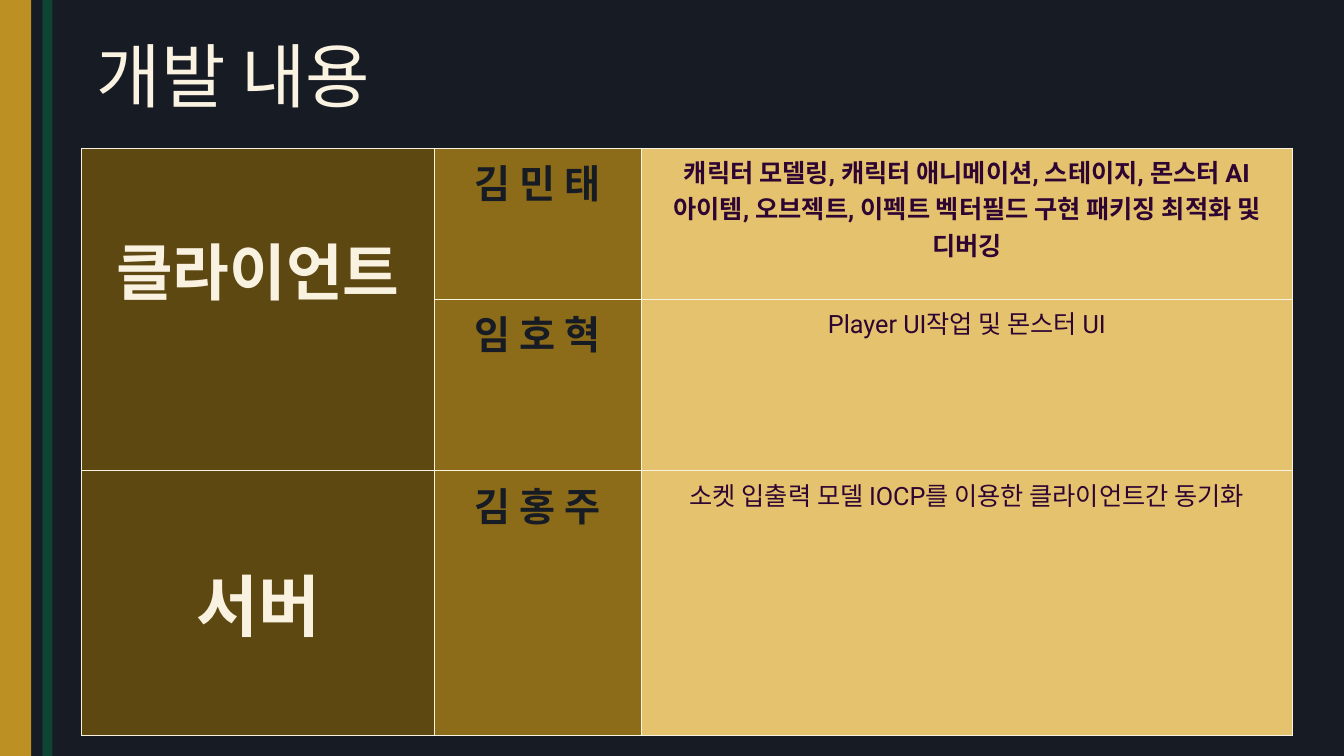
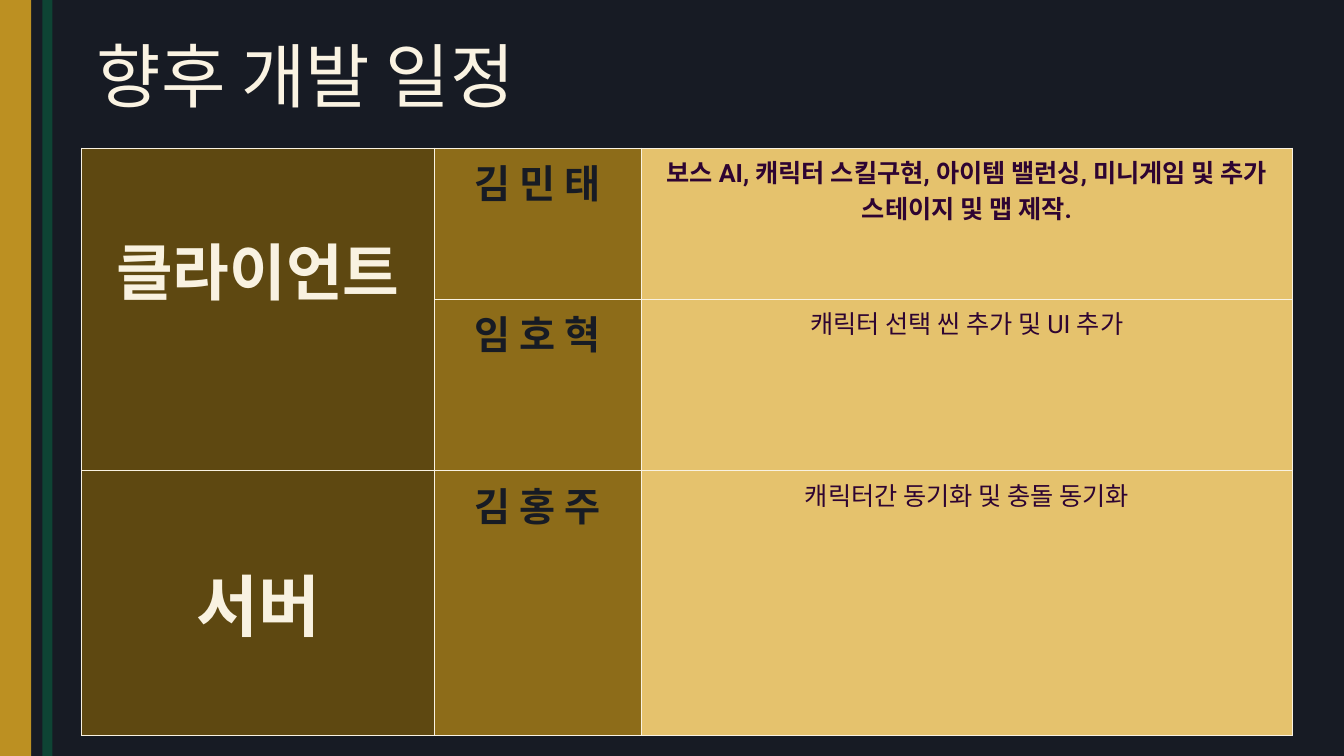
from lxml import etree
from pptx import Presentation
from pptx.dml.color import RGBColor
from pptx.enum.shapes import MSO_SHAPE
from pptx.enum.text import MSO_ANCHOR, PP_ALIGN
from pptx.oxml.ns import qn
from pptx.util import Inches, Pt

RECT = MSO_SHAPE.RECTANGLE
MIDDLE = MSO_ANCHOR.MIDDLE
LEFT, CENTER = PP_ALIGN.LEFT, PP_ALIGN.CENTER

WIDE, HIGH = 13.33, 7.5
NIGHT, GOLD, GREEN = "171B24", "BC9022", "0E4434"
CREAM, IVORY, PLUM = "FAF3E2", "F9F2E1", "2E0432"
BROWN, OCHRE, SAND = "5E4811", "8D6C19", "E5C26D"

COLS = [3.5, 2.05, 6.46]
ROWS = [1.5, 1.7, 2.63]
TEAMS = {0: ("클라이언트", 44, 0.75), 2: ("서버", 48, 0.82)}  # row: name, size, top inset
NAMES = ["김 민 태", "임 호 혁", "김 홍 주"]
PAGES = [
    ("개발 내용", [
        "캐릭터 모델링, 캐릭터 애니메이션, 스테이지, 몬스터 AI 아이템, 오브젝트, "
        "이펙트 벡터필드 구현 패키징 최적화 및 디버깅",
        "Player UI작업 및 몬스터 UI",
        "소켓 입출력 모델 IOCP를 이용한 클라이언트간 동기화",
    ]),
    ("향후 개발 일정", [
        "보스 AI, 캐릭터 스킬구현, 아이템 밸런싱, 미니게임 및 추가 스테이지 및 맵 제작.",
        "캐릭터 선택 씬 추가 및 UI 추가",
        "캐릭터간 동기화 및 충돌 동기화",
    ]),
]


def paint(item, color):
    """Give a fill or a font one solid colour."""
    if hasattr(item, "solid"):
        item.solid()
        item = item.fore_color
    else:
        item = item.color
    item.rgb = RGBColor.from_string(color)


def write(frame, text, font, size, color, bold, align):
    para = frame.paragraphs[0]
    para.alignment = align
    run = para.add_run()
    run.text = text
    run.font.name = font
    run.font.size = Pt(size)
    run.font.bold = bold
    paint(run.font, color)


deck = Presentation()
deck.slide_width, deck.slide_height = Inches(WIDE), Inches(HIGH)
master = deck.slide_master
paint(master.background.fill, NIGHT)

layout = deck.slide_layouts.get_by_name("Title Only")
head = layout.placeholders[0]
head.left, head.top = Inches(0.67), Inches(0.21)
head.width, head.height = Inches(12), Inches(1.05)

slides = [deck.slides.add_slide(layout) for page in PAGES]

# The bands are drawn once and moved to the master, behind its placeholders.
for left, width, color in [(0, 0.31, GOLD), (0.42, 0.1, GREEN)]:
    band = slides[0].shapes.add_shape(
        RECT, Inches(left), 0, Inches(width), Inches(HIGH))
    band.shadow.inherit = False
    band.line.fill.background()
    paint(band.fill, color)
    master.shapes.element.insert(2, band.element)

for slide, (title, tasks) in zip(slides, PAGES):
    frame = slide.shapes.title.text_frame
    frame.vertical_anchor = MIDDLE
    frame.margin_left = Inches(0.29)
    write(frame, title, "Arial", 50, CREAM, False, LEFT)

    table = slide.shapes.add_table(
        len(ROWS), len(COLS), Inches(0.81), Inches(1.47),
        Inches(sum(COLS)), Inches(sum(ROWS))).table
    for col, width in zip(table.columns, COLS):
        col.width = Inches(width)
    for row, height in zip(table.rows, ROWS):
        row.height = Inches(height)
    table.cell(0, 0).merge(table.cell(1, 0))

    for row, (team, size, inset) in TEAMS.items():
        cell = table.cell(row, 0)
        cell.margin_top = Inches(inset)
        write(cell.text_frame, team, "Roboto", size, IVORY, True, CENTER)
    for row, (name, task) in enumerate(zip(NAMES, tasks)):
        write(table.cell(row, 1).text_frame, name, "Roboto", 28, NIGHT, True, CENTER)
        write(table.cell(row, 2).text_frame, task, "Roboto", 18, PLUM, row == 0, CENTER)

        for col, color in enumerate([BROWN, OCHRE, SAND]):
            cell = table.cell(row, col)
            paint(cell.fill, color)
            props = cell._tc.get_or_add_tcPr()
            for spot, side in enumerate(["a:lnL", "a:lnR", "a:lnT", "a:lnB"]):
                line = etree.Element(qn(side), w=str(Pt(1)))
                fill = etree.SubElement(line, qn("a:solidFill"))
                etree.SubElement(fill, qn("a:srgbClr"), val=IVORY)
                props.insert(spot, line)

deck.save("out.pptx")
